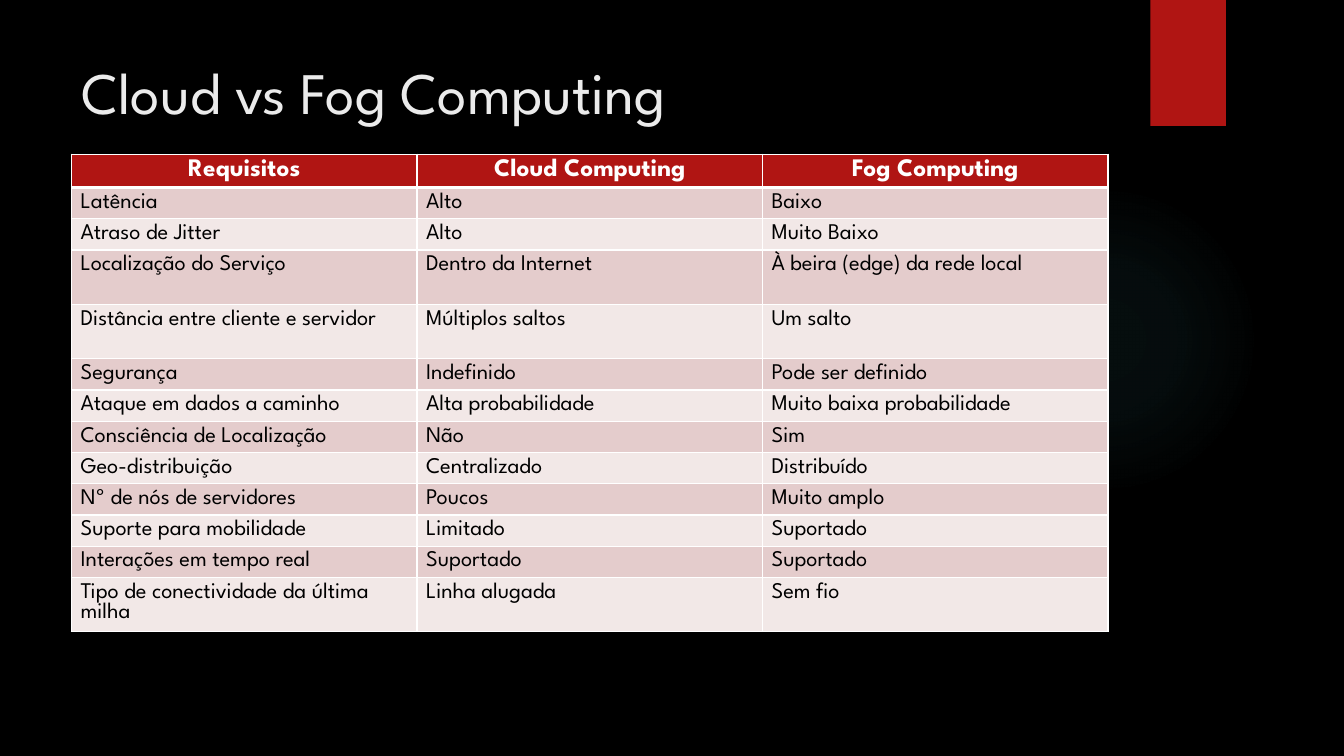
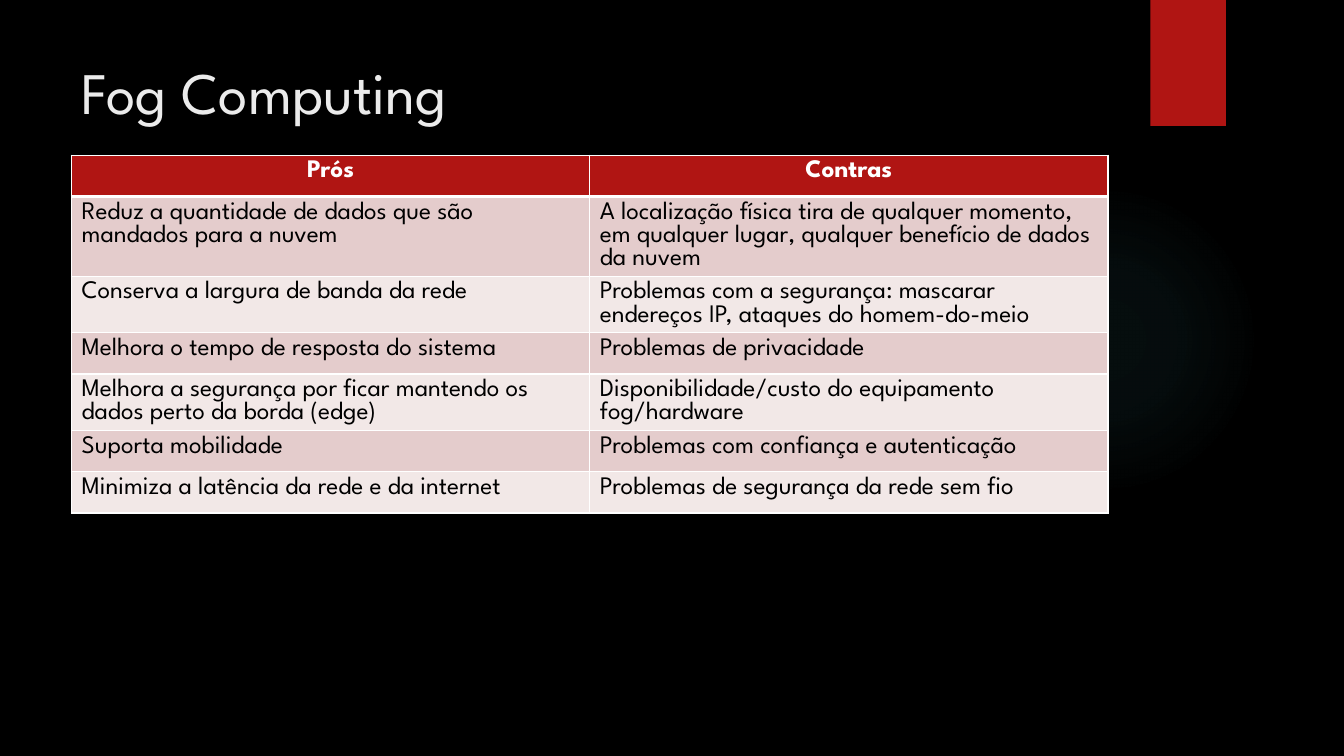
from dataclasses import dataclass

from lxml import etree
from pptx import Presentation
from pptx.dml.color import RGBColor
from pptx.enum.shapes import MSO_SHAPE
from pptx.enum.text import MSO_ANCHOR, PP_ALIGN
from pptx.oxml import parse_xml
from pptx.oxml.ns import nsdecls, qn
from pptx.util import Inches, Pt

ELLIPSE, RECTANGLE = MSO_SHAPE.OVAL, MSO_SHAPE.RECTANGLE
TOP = MSO_ANCHOR.TOP
LEFT, CENTER = PP_ALIGN.LEFT, PP_ALIGN.CENTER

CONTENT_LEFT, CONTENT_WIDTH = 0.71, 10.28


@dataclass(frozen=True)
class Theme:
    font: str = "League Spartan"
    background: str = "000000"
    accent: str = "B01513"
    glow: str = "50B9C1"
    title: str = "EBEBEB"
    header_text: str = "FFFFFF"
    body_text: str = "000000"
    border: str = "FFFFFF"
    bands: tuple = ("E4CCCC", "F2E8E7")
    title_size: int = 42
    header_size: int = 18
    line_height: float = 0.92
    thin_border: int = 1
    thick_border: int = 3


class Deck:
    def __init__(self, theme):
        self.theme = theme
        self.presentation = Presentation()
        self.presentation.slide_width = Inches(13.33)
        self.presentation.slide_height = Inches(7.5)
        self.slide = None

    def start_slide(self, title, title_height):
        blank_layout = self.presentation.slide_layouts[6]
        self.slide = self.presentation.slides.add_slide(blank_layout)
        background = self.slide.background.fill
        background.solid()
        background.fore_color.rgb = RGBColor.from_string(self.theme.background)
        self.add_glow()
        self.add_ribbon()
        self.add_title(title, title_height)

    def add_plain_shape(self, kind, left, top, width, height):
        shape = self.slide.shapes.add_shape(
            kind, Inches(left), Inches(top), Inches(width), Inches(height))
        shape.shadow.inherit = False
        shape.line.fill.background()
        return shape

    def add_glow(self):
        """Add the faint circle that fades out from its centre."""
        glow = self.add_plain_shape(ELLIPSE, 9.41, 1.83, 3.08, 3.08)
        glow.fill.background()
        stops = "".join(
            f'<a:gs pos="{position * 1000}"><a:srgbClr val="{self.theme.glow}">'
            f'<a:alpha val="{opacity * 1000}"/></a:srgbClr></a:gs>'
            for position, opacity in ((0, 7), (36, 6), (69, 0)))
        gradient = parse_xml(
            f'<a:gradFill {nsdecls("a")}><a:gsLst>{stops}</a:gsLst>'
            '<a:path path="circle"><a:fillToRect l="50000" t="50000" '
            'r="50000" b="50000"/></a:path></a:gradFill>')
        properties = glow._element.spPr
        properties.replace(properties.find(qn("a:noFill")), gradient)

    def add_ribbon(self):
        ribbon = self.add_plain_shape(RECTANGLE, 11.41, 0, 0.75, 1.25)
        ribbon.fill.solid()
        ribbon.fill.fore_color.rgb = RGBColor.from_string(self.theme.accent)
        effects = ribbon._element.spPr.find(qn("a:effectLst"))
        effects.append(parse_xml(
            f'<a:outerShdw {nsdecls("a")} blurRad="{Pt(3)}" dist="{Pt(2)}" '
            'dir="5400000" rotWithShape="0"><a:srgbClr val="000000">'
            '<a:alpha val="45000"/></a:srgbClr></a:outerShdw>'))

    def add_title(self, text, height):
        box = self.slide.shapes.add_textbox(
            Inches(CONTENT_LEFT), Inches(0.5),
            Inches(CONTENT_WIDTH), Inches(height))
        frame = box.text_frame
        frame.word_wrap = True
        frame.vertical_anchor = TOP
        self.add_run(frame.paragraphs[0], text, self.theme.title_size,
                     self.theme.title)

    def add_run(self, paragraph, text, size, color, bold=False):
        run = paragraph.add_run()
        run.text = text
        run.font.name = self.theme.font
        run.font.size = Pt(size)
        run.font.bold = bold
        run.font.color.rgb = RGBColor.from_string(color)

    def add_table(self, rows, top, heights, body_size, side_margin):
        """Add a table whose first row is the header."""
        column_count = len(rows[0])
        table = self.slide.shapes.add_table(
            len(rows), column_count, Inches(CONTENT_LEFT), Inches(top),
            Inches(CONTENT_WIDTH), Inches(sum(heights))).table
        table.horz_banding = False
        for column in table.columns:
            column.width = Inches(CONTENT_WIDTH / column_count)
        for row_index, (texts, height) in enumerate(zip(rows, heights)):
            table.rows[row_index].height = Inches(height)
            for column_index, text in enumerate(texts):
                cell = table.cell(row_index, column_index)
                cell.margin_left = cell.margin_right = Inches(side_margin)
                self.style_cell(cell, row_index)
                self.fill_cell_text(cell, text, row_index == 0, body_size)

    def fill_cell_text(self, cell, text, is_header, body_size):
        paragraph = cell.text_frame.paragraphs[0]
        paragraph.alignment = CENTER if is_header else LEFT
        size = self.theme.header_size if is_header else body_size
        color = self.theme.header_text if is_header else self.theme.body_text
        paragraph.line_spacing = Pt(size * self.theme.line_height)
        self.add_run(paragraph, text, size, color, bold=is_header)

    def style_cell(self, cell, row_index):
        """Set borders, then fill: the schema wants them in that order."""
        thick_side = {0: "lnB", 1: "lnT"}.get(row_index)
        properties = cell._tc.get_or_add_tcPr()
        for side in ("lnL", "lnR", "lnT", "lnB"):
            thick = side == thick_side
            width = self.theme.thick_border if thick else self.theme.thin_border
            line = etree.SubElement(properties, qn(f"a:{side}"), w=str(Pt(width)))
            fill = etree.SubElement(line, qn("a:solidFill"))
            etree.SubElement(fill, qn("a:srgbClr"), val=self.theme.border)
        cell.fill.solid()
        color = self.theme.bands[(row_index - 1) % 2] if row_index else self.theme.accent
        cell.fill.fore_color.rgb = RGBColor.from_string(color)


REQUIREMENTS = [
    ("Requisitos", "Cloud Computing", "Fog Computing"),
    ("Latência", "Alto", "Baixo"),
    ("Atraso de Jitter", "Alto", "Muito Baixo"),
    ("Localização do Serviço", "Dentro da Internet", "À beira (edge) da rede local"),
    ("Distância entre cliente e servidor", "Múltiplos saltos", "Um salto"),
    ("Segurança", "Indefinido", "Pode ser definido"),
    ("Ataque em dados a caminho", "Alta probabilidade", "Muito baixa probabilidade"),
    ("Consciência de Localização", "Não", "Sim"),
    ("Geo-distribuição", "Centralizado", "Distribuído"),
    ("Nº de nós de servidores", "Poucos", "Muito amplo"),
    ("Suporte para mobilidade", "Limitado", "Suportado"),
    ("Interações em tempo real", "Suportado", "Suportado"),
    ("Tipo de conectividade da última milha", "Linha alugada", "Sem fio"),
]
TALL_REQUIREMENTS = (3, 4, 12)

PROS_AND_CONS = [
    ("Prós", "Contras"),
    ("Reduz a quantidade de dados que são mandados para a nuvem",
     "A localização física tira de qualquer momento, em qualquer lugar, "
     "qualquer benefício de dados da nuvem"),
    ("Conserva a largura de banda da rede",
     "Problemas com a segurança: mascarar endereços IP, ataques do homem-do-meio"),
    ("Melhora o tempo de resposta do sistema", "Problemas de privacidade"),
    ("Melhora a segurança por ficar mantendo os dados perto da borda (edge)",
     "Disponibilidade/custo do equipamento fog/hardware"),
    ("Suporta mobilidade", "Problemas com confiança e autenticação"),
    ("Minimiza a latência da rede e da internet",
     "Problemas de segurança da rede sem fio"),
]


def main():
    deck = Deck(Theme())

    deck.start_slide("Cloud vs Fog Computing", title_height=0.84)
    heights = [0.54 if index in TALL_REQUIREMENTS else 0.31
               for index in range(len(REQUIREMENTS))]
    deck.add_table(REQUIREMENTS, 1.53, heights, body_size=16, side_margin=0.09)

    deck.start_slide("Fog Computing", title_height=1.53)
    deck.add_table(PROS_AND_CONS, 1.54, [0.41] * len(PROS_AND_CONS),
                   body_size=18, side_margin=0.1)

    deck.presentation.save("out.pptx")


if __name__ == "__main__":
    main()
